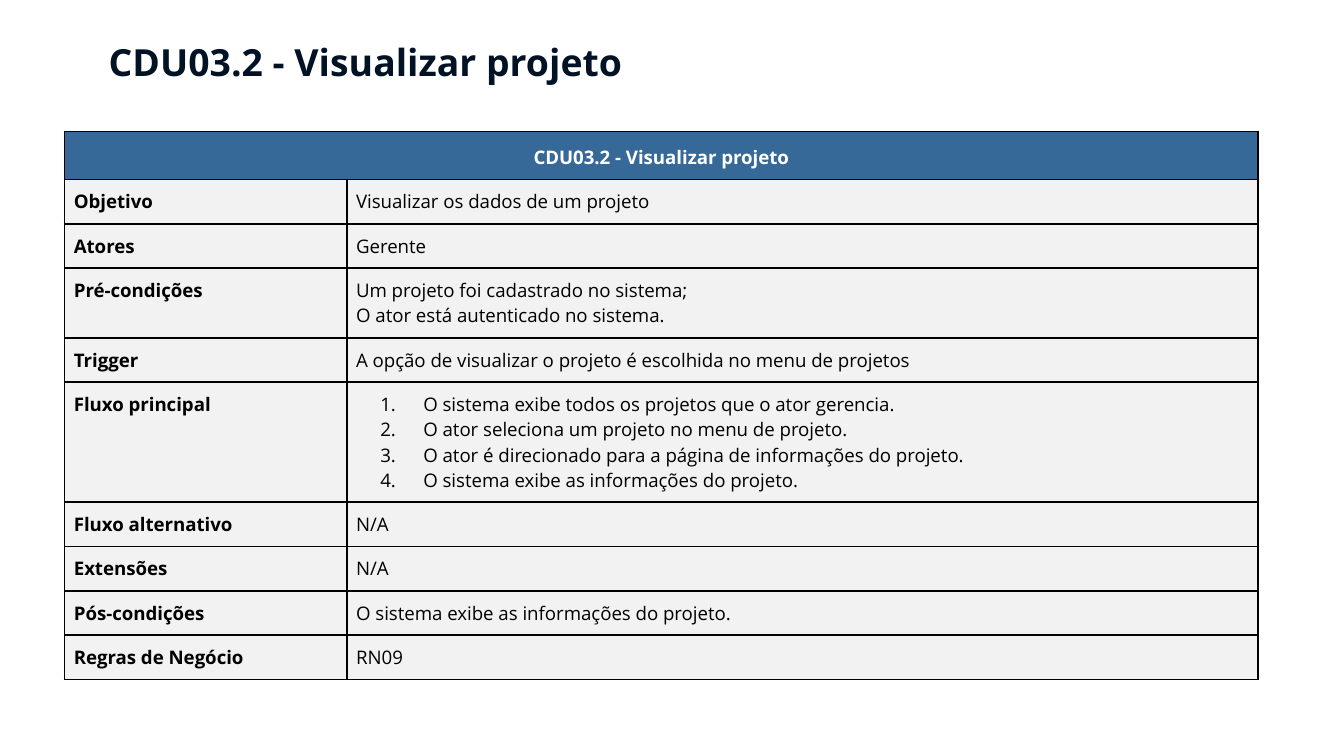
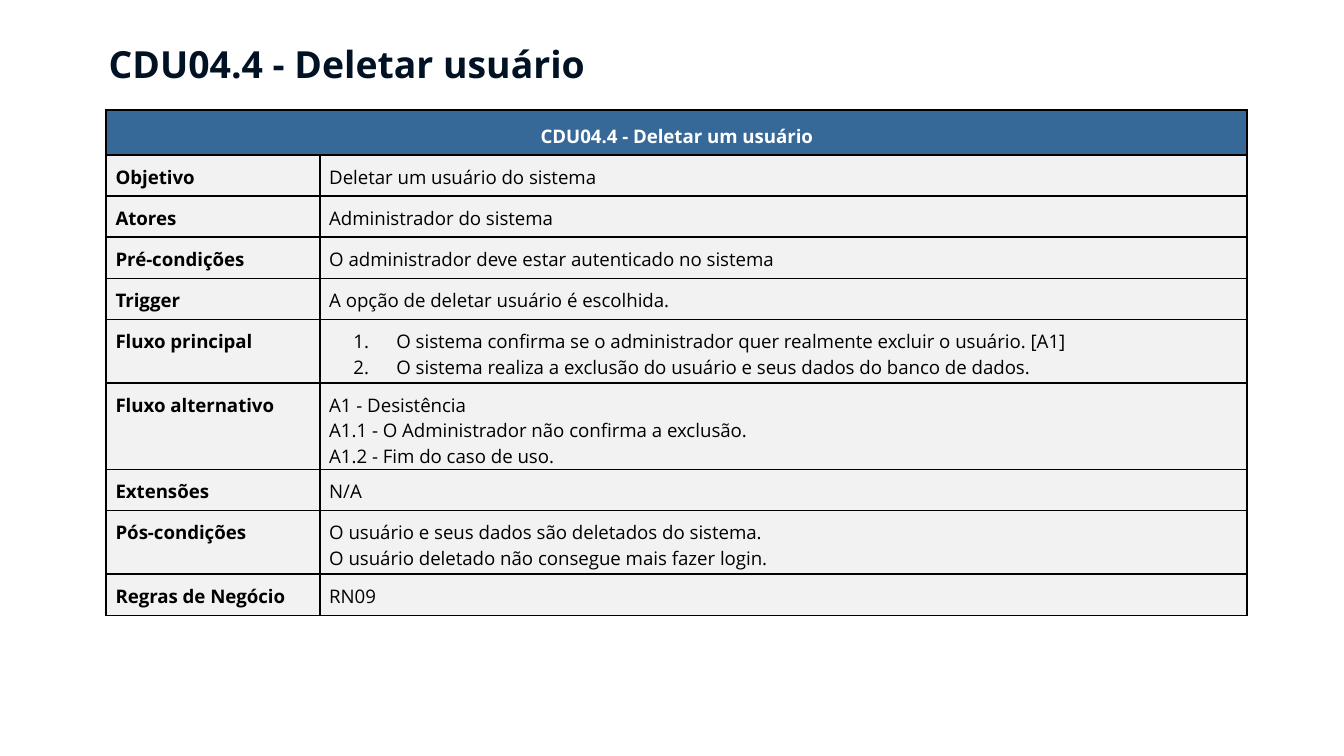
from dataclasses import dataclass

from lxml import etree
from pptx import Presentation
from pptx import util as u
from pptx.dml import color
from pptx.enum import text
from pptx.oxml import ns


@dataclass(frozen=True)
class Theme:
    font: str = "Open Sans"
    title_size: int = 20
    table_size: int = 10
    title: str = "011225"
    header_fill: str = "376998"
    header_text: str = "FFFFFF"
    body_fill: str = "F2F2F2"
    body_text: str = "000000"
    border: str = "000000"
    border_width: int = 1


@dataclass(frozen=True)
class Box:
    """A region measured in grid columns and rows."""
    left: float
    top: float
    width: float
    height: float


THEME = Theme()
SLIDE_WIDTH, SLIDE_HEIGHT = u.Inches(10), u.Inches(5.625)
GRID_COLUMNS = 100
CELL_MARGIN = 0.7
LIST_INDENT, LIST_HANGING = 5, 3.2
TABLE_FRAME = 32.8
FIELDS = ("Objetivo", "Atores", "Pré-condições", "Trigger", "Fluxo principal",
          "Fluxo alternativo", "Extensões", "Pós-condições", "Regras de Negócio")
NUMBERED_FIELD = "Fluxo principal"


def grid(units):
    """Turn grid units (square cells, 100 across the slide) into a length."""
    return u.Emu(round(units * SLIDE_WIDTH / GRID_COLUMNS))


def style_font(paragraph, size, rgb, bold):
    font = paragraph.font
    font.name, font.size, font.bold = THEME.font, u.Pt(size), bold
    font.color.rgb = color.RGBColor.from_string(rgb)


def add_child(parent, tag, **attributes):
    return etree.SubElement(parent, ns.qn(tag), attributes)


def add_number(paragraph):
    properties = paragraph._p.get_or_add_pPr()
    properties.set("marL", str(grid(LIST_INDENT)))
    properties.set("indent", str(-grid(LIST_HANGING)))
    bullet_color = add_child(properties, "a:buClr")
    add_child(bullet_color, "a:srgbClr", val=THEME.body_text)
    add_child(properties, "a:buAutoNum", type="arabicPeriod")


def add_borders(cell):
    properties = cell._tc.get_or_add_tcPr()
    for side in ("a:lnL", "a:lnR", "a:lnT", "a:lnB"):
        line = add_child(properties, side, w=str(u.Pt(THEME.border_width)))
        fill = add_child(line, "a:solidFill")
        add_child(fill, "a:srgbClr", val=THEME.border)


def format_cell(cell, fill):
    add_borders(cell)
    cell.fill.solid()
    cell.fill.fore_color.rgb = color.RGBColor.from_string(fill)
    cell.margin_left = cell.margin_right = grid(CELL_MARGIN)
    cell.margin_top = cell.margin_bottom = grid(CELL_MARGIN)


def fill_body_cell(cell, lines, bold=False, numbered=False):
    format_cell(cell, THEME.body_fill)
    frame = cell.text_frame
    for index, line in enumerate(lines):
        paragraph = frame.add_paragraph() if index else frame.paragraphs[0]
        paragraph.text = line
        if numbered:
            add_number(paragraph)
        style_font(paragraph, THEME.table_size, THEME.body_text, bold)


def add_title(slide, box, title):
    shape = slide.shapes.add_textbox(grid(box.left), grid(box.top),
                                     grid(box.width), grid(box.height))
    frame = shape.text_frame
    frame.word_wrap = True
    frame.auto_size = text.MSO_AUTO_SIZE.SHAPE_TO_FIT_TEXT
    frame.margin_left = frame.margin_right = grid(1)
    frame.margin_top = frame.margin_bottom = grid(1)
    paragraph = frame.paragraphs[0]
    paragraph.text = title
    style_font(paragraph, THEME.title_size, THEME.title, True)


def add_use_case_table(slide, box, label_width, heading, values, row_heights):
    shape = slide.shapes.add_table(len(FIELDS) + 1, 2, grid(box.left), grid(box.top),
                                   grid(box.width), grid(box.height))
    table = shape.table
    table.first_row = table.horz_banding = False
    table.columns[0].width = grid(label_width)
    table.columns[1].width = grid(box.width - label_width)
    for row, height in zip(table.rows, row_heights):
        row.height = grid(height)

    # Heading across both columns
    for column in range(2):
        format_cell(table.cell(0, column), THEME.header_fill)
    table.cell(0, 0).merge(table.cell(0, 1))
    paragraph = table.cell(0, 0).text_frame.paragraphs[0]
    paragraph.text = heading
    paragraph.alignment = text.PP_ALIGN.CENTER
    paragraph.line_spacing = 1.15
    style_font(paragraph, THEME.table_size, THEME.header_text, True)

    # One row per field
    for index, (field, lines) in enumerate(zip(FIELDS, values), start=1):
        fill_body_cell(table.cell(index, 0), [field], bold=True)
        fill_body_cell(table.cell(index, 1), lines, numbered=field == NUMBERED_FIELD)

    # The frame stays compact; rows and columns carry the real size
    shape.width = shape.height = grid(TABLE_FRAME)


def add_use_case_slide(presentation, title, title_top, **table):
    slide = presentation.slides.add_slide(presentation.slide_layouts[6])
    add_use_case_table(slide, **table)
    add_title(slide, Box(7.1, title_top, 85.9, 5.4), title)


def main():
    presentation = Presentation()
    presentation.slide_width, presentation.slide_height = SLIDE_WIDTH, SLIDE_HEIGHT

    # View a project: row heights follow the number of lines
    view_project = [
        ["Visualizar os dados de um projeto"],
        ["Gerente"],
        ["Um projeto foi cadastrado no sistema;", "O ator está autenticado no sistema."],
        ["A opção de visualizar o projeto é escolhida no menu de projetos"],
        ["O sistema exibe todos os projetos que o ator gerencia.",
         "O ator seleciona um projeto no menu de projeto.",
         "O ator é direcionado para a página de informações do projeto.",
         "O sistema exibe as informações do projeto."],
        ["N/A"],
        ["N/A"],
        ["O sistema exibe as informações do projeto."],
        ["RN09"],
    ]
    add_use_case_slide(
        presentation, "CDU03.2 - Visualizar projeto", 1.9,
        box=Box(4.8, 9.8, 88.8, TABLE_FRAME), label_width=21,
        heading="CDU03.2 - Visualizar projeto", values=view_project,
        row_heights=[3.5] + [1.5 + 1.8 * len(lines) for lines in view_project])

    # Delete a user: rows shrink to their text
    delete_user = [
        ["Deletar um usuário do sistema"],
        ["Administrador do sistema"],
        ["O administrador deve estar autenticado no sistema"],
        ["A opção de deletar usuário é escolhida."],
        ["O sistema confirma se o administrador quer realmente excluir o usuário. [A1]",
         "O sistema realiza a exclusão do usuário e seus dados do banco de dados."],
        ["A1 - Desistência",
         "A1.1 - O Administrador não confirma a exclusão.",
         "A1.2 - Fim do caso de uso."],
        ["N/A"],
        ["O usuário e seus dados são deletados do sistema.\v"
         "O usuário deletado não consegue mais fazer login."],
        ["RN09"],
    ]
    add_use_case_slide(
        presentation, "CDU04.4 - Deletar usuário", 2.1,
        box=Box(7.9, 8.2, 84.9, TABLE_FRAME), label_width=15.9,
        heading="CDU04.4 - Deletar um usuário", values=delete_user,
        row_heights=[2.9] + [0.1] * len(delete_user))

    presentation.save("out.pptx")


if __name__ == "__main__":
    main()
